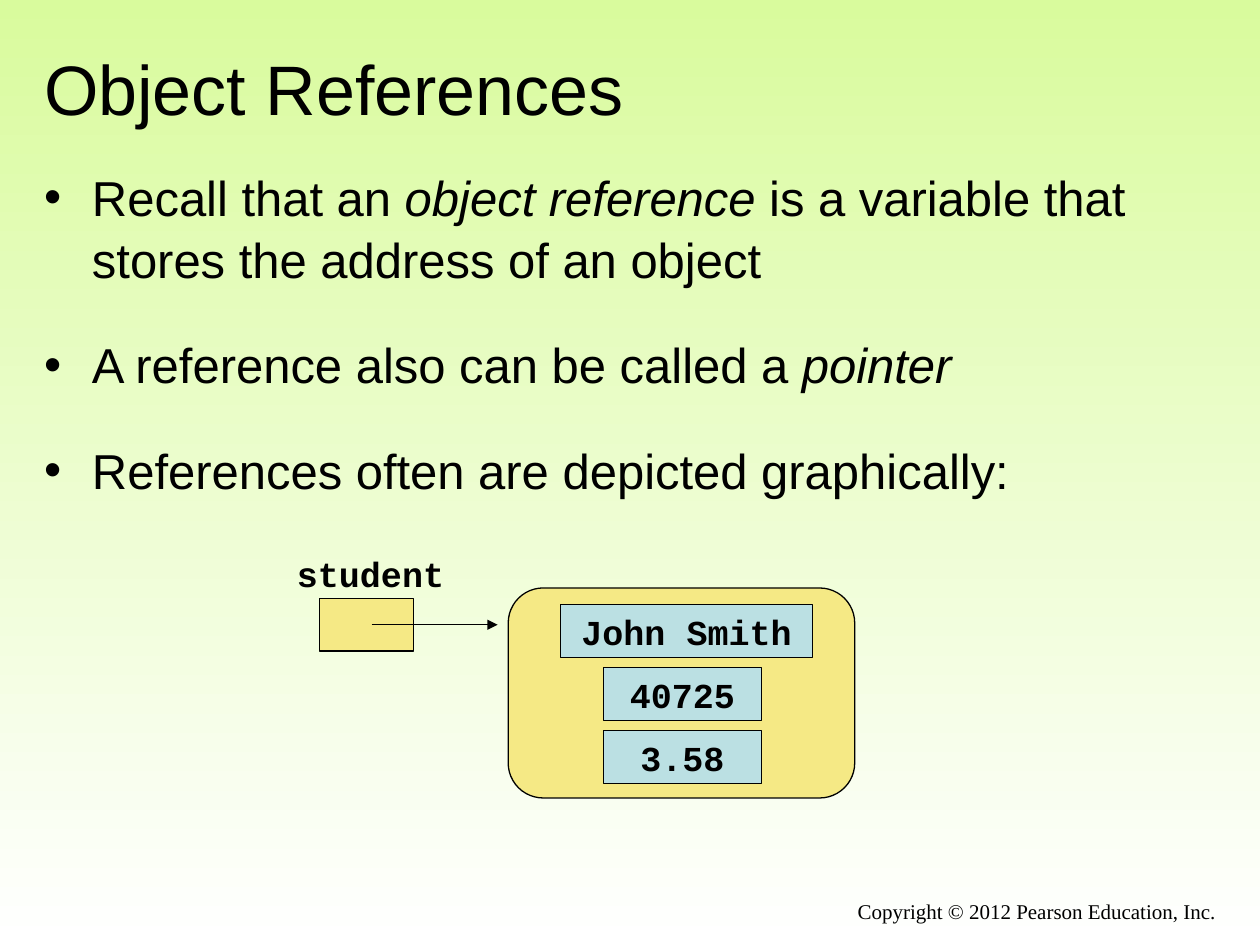
"""Build the Object References slide on a grid of 120 columns by 90 rows."""
from dataclasses import dataclass

import pptx
import pptx.dml.color
import pptx.enum.shapes
import pptx.enum.text
import pptx.oxml
import pptx.oxml.ns
import pptx.util

COLORS = {"ink": "000000", "sky": "D9FB9D", "ground": "FFFFFF",
          "object": "F5E985", "field": "BBE0E3"}
COLS, ROWS = 120, 90
ALIGN = pptx.enum.text.PP_ALIGN
ANCHOR = pptx.enum.text.MSO_ANCHOR
SHAPE = pptx.enum.shapes.MSO_SHAPE
CODE = {"font": "Courier New", "size": 20, "bold": True}

prs = pptx.Presentation()
prs.slide_width = pptx.util.Inches(10)
prs.slide_height = pptx.util.Inches(7.5)


@dataclass(frozen=True)
class Cell:
    """A rectangle in grid columns and rows."""
    col: float
    row: float
    width: float
    height: float

    def emu(self) -> tuple[int, int, int, int]:
        """Return left, top, width and height as lengths."""
        return (across(self.col), down(self.row),
                across(self.width), down(self.height))


@dataclass(frozen=True)
class Box:
    """A filled and outlined shape with an optional value."""
    cell: Cell
    fill: str
    text: str = ""
    kind: int = SHAPE.RECTANGLE


def across(cols: float) -> int:
    """Turn columns into a length."""
    return round(prs.slide_width * cols / COLS)


def down(rows: float) -> int:
    """Turn rows into a length."""
    return round(prs.slide_height * rows / ROWS)


def rgb(name: str) -> pptx.dml.color.RGBColor:
    """Look up a colour by name."""
    return pptx.dml.color.RGBColor.from_string(COLORS[name])


def add_xml(parent, xml: str) -> None:
    """Append a drawing element to a parent element."""
    ns = pptx.oxml.ns.nsdecls("a")
    parent.append(pptx.oxml.parse_xml(xml.replace("/>", f" {ns}/>", 1)))


def write(p, text: str, *, font: str = "Arial", size: float = 28, bold: bool = False,
          align: int = ALIGN.LEFT) -> None:
    """Write text into a paragraph, with the parts between asterisks in italics."""
    p.alignment = align
    for i, part in enumerate(text.split("*")):
        if part:
            r = p.add_run()
            r.text = part
            r.font.name, r.font.size = font, pptx.util.Pt(size)
            r.font.bold, r.font.italic = bold, i % 2 == 1
            r.font.color.rgb = rgb("ink")


def place(sp, cell: Cell, anchor: int = ANCHOR.TOP, wrap: bool = True):
    """Move a text shape to a cell and return its text frame."""
    sp.left, sp.top, sp.width, sp.height = cell.emu()
    tf = sp.text_frame
    tf.auto_size = pptx.enum.text.MSO_AUTO_SIZE.NONE
    tf.vertical_anchor, tf.word_wrap = anchor, wrap
    return tf


def add_text(s, cell: Cell, text: str, wrap: bool = True, **style) -> None:
    """Add a one-paragraph text box."""
    tf = place(s.shapes.add_textbox(*cell.emu()), cell, wrap=wrap)
    write(tf.paragraphs[0], text, **style)


def add_box(s, box: Box) -> None:
    """Add a box of the reference diagram."""
    sp = s.shapes.add_shape(box.kind, *box.cell.emu())
    sp.shadow.inherit = False
    sp.fill.solid()
    sp.fill.fore_color.rgb = rgb(box.fill)
    sp.line.color.rgb = rgb("ink")
    sp.line.width = pptx.util.Pt(0.75)
    if box.text:
        tf = place(sp, box.cell, ANCHOR.MIDDLE, wrap=False)
        write(tf.paragraphs[0], box.text, align=ALIGN.CENTER, **CODE)


def add_arrow(s, col: float, row: float, length: float) -> None:
    """Add an arrow that points right."""
    line = s.shapes.add_connector(
        pptx.enum.shapes.MSO_CONNECTOR.STRAIGHT,
        across(col), down(row), across(col + length), down(row))
    line.line.color.rgb = rgb("ink")
    line.line.width = pptx.util.Pt(0.75)
    add_xml(line.line._get_or_add_ln(), '<a:tailEnd type="triangle"/>')
    add_xml(line._element.spPr, "<a:effectLst/>")


def add_bullets(tf, items: list[str]) -> None:
    """Fill a text frame with a bulleted list."""
    for i, item in enumerate(items):
        p = tf.add_paragraph() if i else tf.paragraphs[0]
        p.line_spacing = 1.06
        p.space_before = pptx.util.Pt(24.5 if i else 0)
        pPr = p._p.get_or_add_pPr()
        indent = pptx.util.Inches(0.38)
        pPr.set("marL", str(indent))
        pPr.set("indent", str(-indent))
        add_xml(pPr, '<a:buChar char="•"/>')
        write(p, item)


def main() -> None:
    """Build and save the slide."""
    s = prs.slides.add_slide(prs.slide_layouts[1])
    fill = s.background.fill
    fill.gradient()
    fill.gradient_angle = 270
    for stop, name, position in zip(fill.gradient_stops, ("sky", "ground"), (0, 1)):
        stop.color.rgb, stop.position = rgb(name), position

    title = place(s.shapes.title, Cell(3, 3.6, 114, 9.4), ANCHOR.MIDDLE)
    write(title.paragraphs[0], "Object References", size=40)
    add_bullets(place(s.placeholders[1], Cell(3, 15, 114, 37)), [
        "Recall that an *object reference* is a variable that "
        "stores the address of an object",
        "A reference also can be called a *pointer*",
        "References often are depicted graphically:",
    ])
    add_text(s, Cell(44, 85, 73, 4), "Copyright © 2012 Pearson Education, Inc.",
             font="Times New Roman", size=12, align=ALIGN.RIGHT)

    add_box(s, Box(Cell(30.4, 57, 9, 5), "object"))
    add_text(s, Cell(27.1, 52, 16.4, 5.3), "student", wrap=False, **CODE)
    add_box(s, Box(Cell(48.4, 56, 33, 20), "object", kind=SHAPE.ROUNDED_RECTANGLE))
    add_arrow(s, 35.4, 59.5, 12)
    fields = [("John Smith", 53.4, 24), ("40725", 57.5, 15), ("3.58", 57.5, 15)]
    for i, (value, col, width) in enumerate(fields):
        add_box(s, Box(Cell(col, 57.6 + 6 * i, width, 5), "field", value))

    prs.save("out.pptx")


if __name__ == "__main__":
    main()
